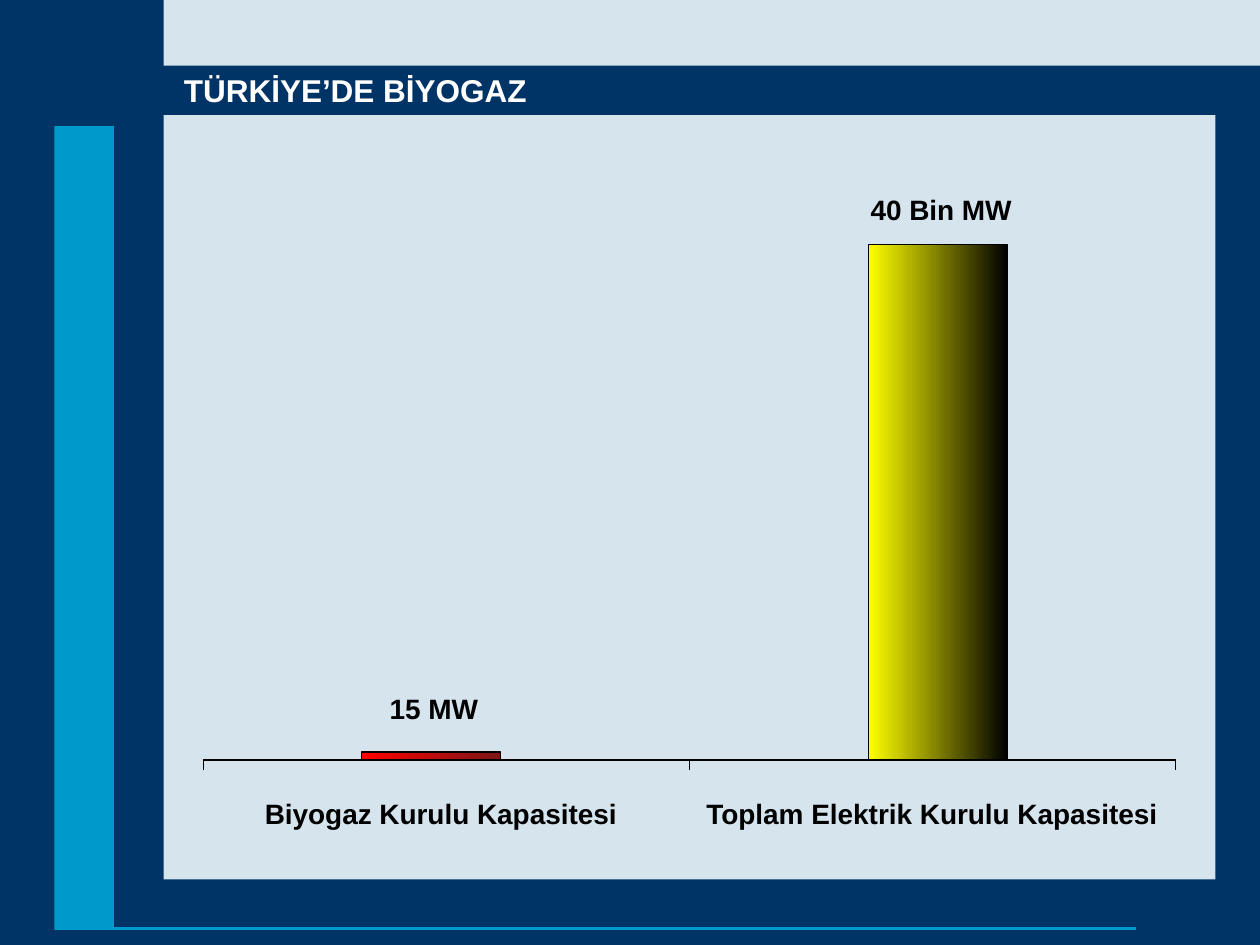
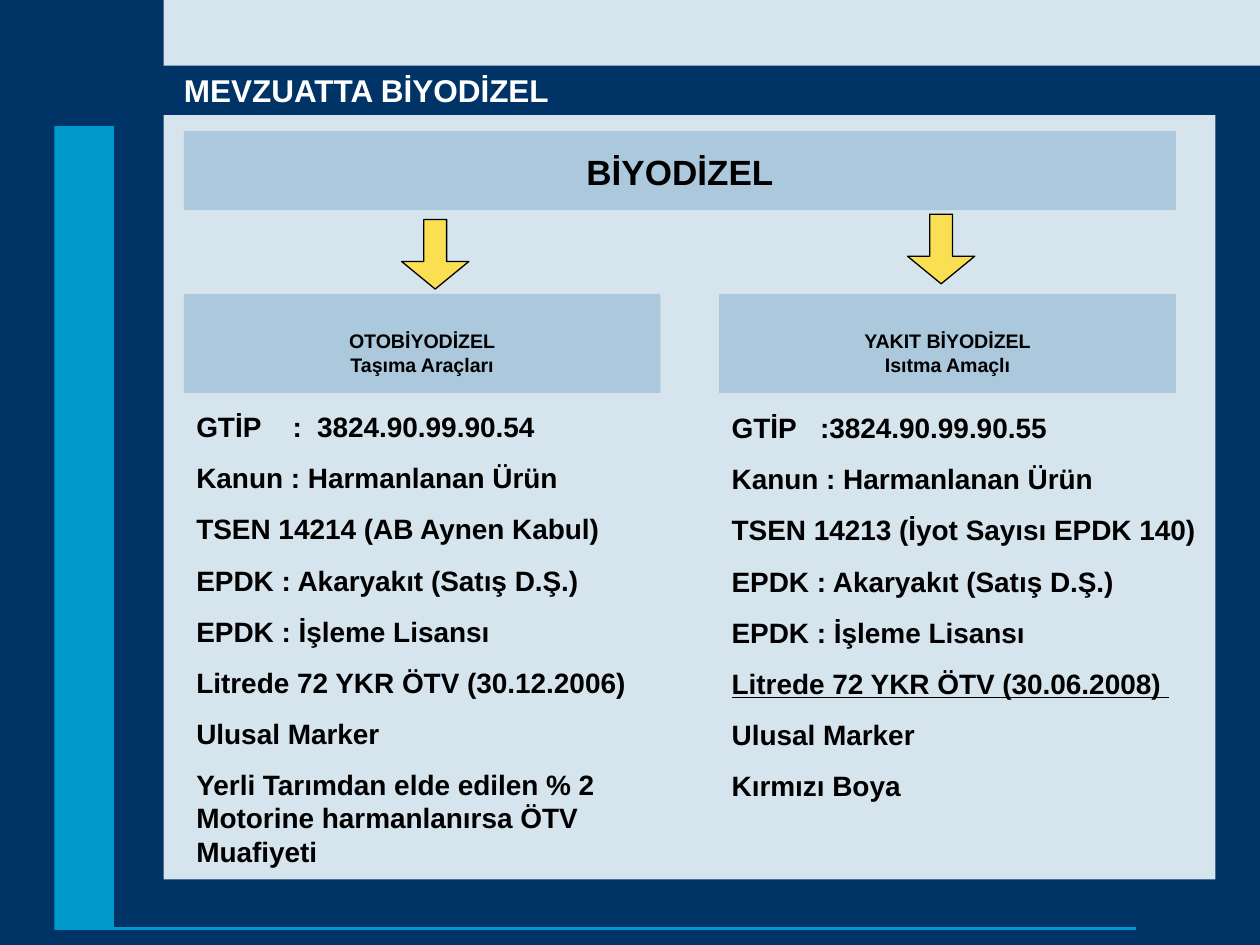
from lxml.etree import SubElement
from pptx import Presentation
from pptx.dml.color import RGBColor
from pptx.enum.shapes import MSO_CONNECTOR, MSO_SHAPE
from pptx.enum.text import MSO_ANCHOR, PP_ALIGN
from pptx.oxml.ns import qn
from pptx.util import Pt

NAVY = RGBColor(0x00, 0x33, 0x66)
CYAN = RGBColor(0x00, 0x99, 0xCC)
PALE = RGBColor(0xD6, 0xE4, 0xEE)
PANEL = RGBColor(0xAB, 0xC8, 0xDD)
GOLD = RGBColor(0xFB, 0xDF, 0x53)
YELLOW = RGBColor(0xFF, 0xFF, 0x00)
RED = RGBColor(0xFF, 0x00, 0x00)
MAROON = RGBColor(0x7C, 0x16, 0x16)
BLACK = RGBColor(0x00, 0x00, 0x00)
WHITE = RGBColor(0xFF, 0xFF, 0xFF)

FONT = "Arial"
WIDTH, HEIGHT = 720, 540
TEXT_LEFT = 105.1


class Pages:
    """Holds the deck, its style and the current page; lengths are points."""

    def __init__(self):
        self.deck = Presentation()
        self.deck.slide_width, self.deck.slide_height = Pt(WIDTH), Pt(HEIGHT)
        background = self.deck.slide_master.background.fill
        background.solid()
        background.fore_color.rgb = PALE
        self.page = None

    def start(self, title):
        self.page = self.deck.slides.add_slide(self.deck.slide_layouts[6])
        band = self.shape(0, 37.5, WIDTH, 28.2, NAVY)
        self.fill_text(band, [title], 18, WHITE,
                       insets=(TEXT_LEFT, 3.6, 7.2, 3.6))

    def frame(self):
        """Draws the bottom, right and left bands with the cyan trim."""
        self.shape(0, 502.5, WIDTH, HEIGHT - 502.5, NAVY)
        self.shape(694.5, 43, WIDTH - 694.5, 476, NAVY)
        self.shape(0, 0, 93.6, HEIGHT, NAVY)
        self.line(54, 530.7, 649.2, 530.7, CYAN, 1.75)
        self.shape(31, 72, 34.1, 459.4, CYAN)

    def shape(self, left, top, width, height, fill, edge=None,
              kind=MSO_SHAPE.RECTANGLE):
        """Adds a preset shape; a pair of colours gives a left-right gradient."""
        shape = self.page.shapes.add_shape(
            kind, Pt(left), Pt(top), Pt(width), Pt(height))
        shape.shadow.inherit = False
        if isinstance(fill, RGBColor):
            shape.fill.solid()
            shape.fill.fore_color.rgb = fill
        else:
            shape.fill.gradient()
            shape.fill.gradient_angle = 0
            for position, (stop, color) in enumerate(
                    zip(shape.fill.gradient_stops, fill)):
                stop.position = position
                stop.color.rgb = color
        if edge is None:
            shape.line.fill.background()
        else:
            shape.line.color.rgb = edge
            shape.line.width = Pt(0.75)
        return shape

    def line(self, x1, y1, x2, y2, color=BLACK, weight=0.75):
        line = self.page.shapes.add_connector(
            MSO_CONNECTOR.STRAIGHT, Pt(x1), Pt(y1), Pt(x2), Pt(y2))
        line.line.color.rgb = color
        line.line.width = Pt(weight)
        SubElement(line._element.spPr, qn("a:effectLst"))

    def text(self, left, top, width, height, lines, **style):
        box = self.page.shapes.add_textbox(
            Pt(left), Pt(top), Pt(width), Pt(height))
        self.fill_text(box, lines, 16, **style)

    def fill_text(self, box, lines, size, color=BLACK, align=PP_ALIGN.LEFT,
                  anchor=MSO_ANCHOR.MIDDLE, insets=(7.2, 3.6, 7.2, 3.6),
                  gap=0, tabs=(), underlined=()):
        """Fills a box, one paragraph a line; a newline breaks inside one."""
        frame = box.text_frame
        frame.word_wrap = True
        frame.vertical_anchor = anchor
        (frame.margin_left, frame.margin_top,
         frame.margin_right, frame.margin_bottom) = map(Pt, insets)
        for index, line in enumerate(lines):
            para = frame.add_paragraph() if index else frame.paragraphs[0]
            para.alignment = align
            if index:
                para.space_before = Pt(gap)
            if "\t" in line:
                stops = SubElement(para._p.get_or_add_pPr(), qn("a:tabLst"))
                for stop in tabs:
                    SubElement(stops, qn("a:tab"), pos=str(Pt(stop)), algn="l")
            for part_index, part in enumerate(line.split("\n")):
                if part_index:
                    para.add_line_break()
                span = para.add_run()
                span.text = part
                span.font.name = FONT
                span.font.size = Pt(size)
                span.font.bold = True
                span.font.color.rgb = color
                if index in underlined:
                    span.font.underline = True


def capacity_page(pages):
    pages.start("TÜRKİYE’DE BİYOGAZ")

    # Bars, not to scale, standing on the axis
    axis_left, axis_right, axis_y = 116.3, 671.8, 434.3
    for left, height, colors in ((206.6, 4.5, (RED, MAROON)),
                                 (496.2, 294.6, (YELLOW, BLACK))):
        pages.shape(left, axis_y - height, 79.4, height, colors, BLACK)

    # Axis with ticks at both ends and in the middle
    pages.line(axis_left, axis_y, axis_right, axis_y)
    for tick in (axis_left, (axis_left + axis_right) / 2, axis_right):
        pages.line(tick, axis_y, tick, axis_y + 5.6)

    # Value and category labels
    for center, top, width, label in (
            (247.9, 391.4, 90, "15 MW"),
            (537.8, 106.2, 120, "40 Bin MW"),
            (252, 451.7, 238, "Biyogaz Kurulu Kapasitesi"),
            (532.6, 451.7, 282, "Toplam Elektrik Kurulu Kapasitesi")):
        pages.text(center - width / 2, top, width, 26.6, [label],
                   align=PP_ALIGN.CENTER)
    pages.frame()


def biodiesel_page(pages):
    pages.start("MEVZUATTA BİYODİZEL")
    heading = pages.shape(TEXT_LEFT, 74.9, 566.9, 45.2, PANEL)
    pages.fill_text(heading, ["BİYODİZEL"], 20, align=PP_ALIGN.CENTER,
                    insets=(7.2, 5, 7.2, 3.6))

    # Each branch: left, panel width, arrow corner, list top, tabs, texts
    branches = (
        (TEXT_LEFT, 272.2, (229.5, 125.4), 230.6, (55, 69),
         "OTOBİYODİZEL\nTaşıma Araçları",
         ["GTİP\t:\t3824.90.99.90.54",
          "Kanun : Harmanlanan Ürün",
          "TSEN 14214 (AB Aynen Kabul)",
          "EPDK : Akaryakıt (Satış D.Ş.)",
          "EPDK : İşleme Lisansı",
          "Litrede 72 YKR ÖTV (30.12.2006)",
          "Ulusal Marker",
          "Yerli Tarımdan elde edilen % 2 Motorine harmanlanırsa "
          "ÖTV Muafiyeti"], ()),
        (411, 261, (518.6, 122.4), 231.2, (50.5,),
         "YAKIT BİYODİZEL\nIsıtma Amaçlı",
         ["GTİP\t:3824.90.99.90.55",
          "Kanun : Harmanlanan Ürün",
          "TSEN 14213 (İyot Sayısı EPDK 140)",
          "EPDK : Akaryakıt (Satış D.Ş.)",
          "EPDK : İşleme Lisansı",
          "Litrede 72 YKR ÖTV (30.06.2008) ",
          "Ulusal Marker",
          "Kırmızı Boya"], (5,)),
    )
    for left, width, corner, top, tabs, name, rules, underlined in branches:
        arrow = pages.shape(*corner, 38.4, 39.8, GOLD, BLACK,
                            MSO_SHAPE.DOWN_ARROW)
        arrow.adjustments[0], arrow.adjustments[1] = 0.34, 0.41
        panel = pages.shape(left, 167.9, width, 56.7, PANEL)
        pages.fill_text(panel, [name], 11.2, align=PP_ALIGN.CENTER,
                        insets=(7.2, 14.4, 7.2, 3.6))
        pages.text(left, top, 283.5, 269, rules, anchor=MSO_ANCHOR.TOP,
                   gap=10, tabs=tabs, underlined=underlined)
    pages.frame()


def main():
    pages = Pages()
    capacity_page(pages)
    biodiesel_page(pages)
    pages.deck.save("out.pptx")


if __name__ == "__main__":
    main()
